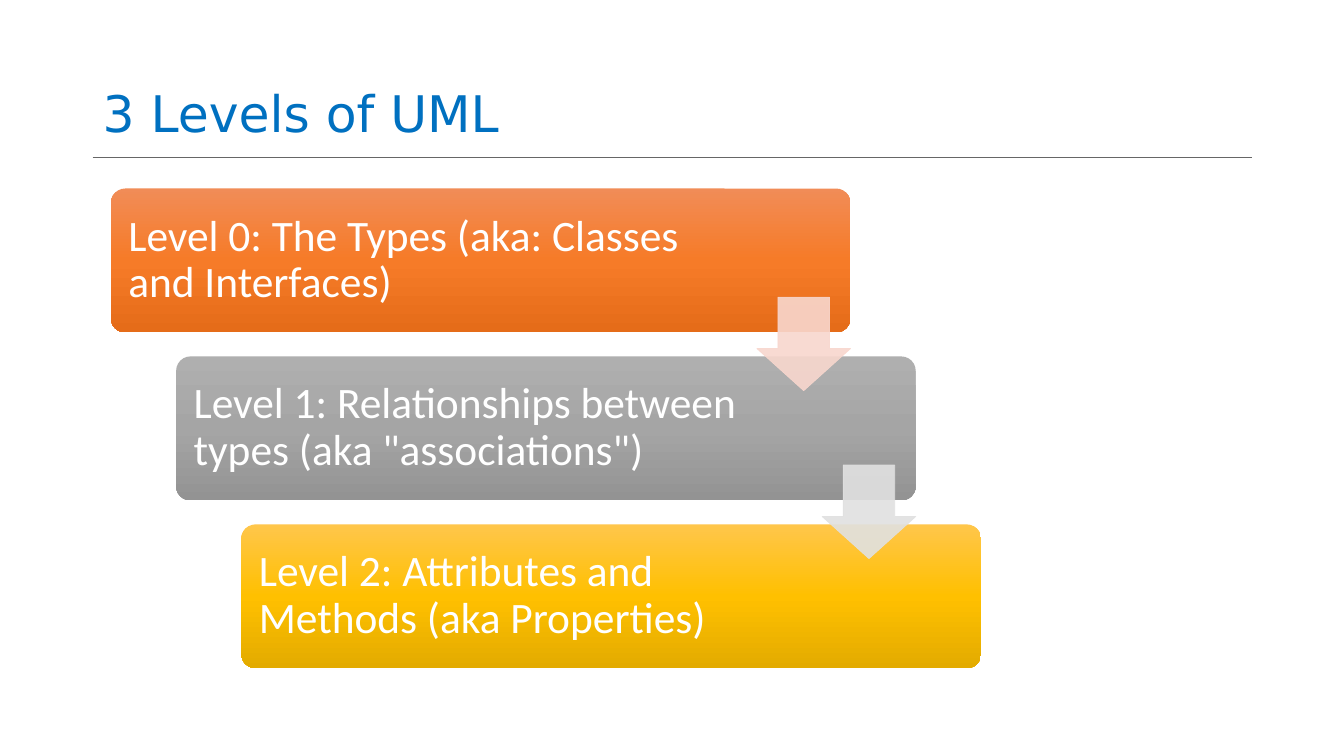
from copy import deepcopy
from dataclasses import dataclass
from lxml import etree
from pptx import Presentation
from pptx import util as u
from pptx.dml.color import RGBColor
from pptx.enum import shapes, text
from pptx.oxml import ns


@dataclass(frozen=True)
class Theme:
    title: str = "0070C0"
    rule: str = "666666"
    label: str = "FFFFFF"
    head: str = "DejaVu Sans"
    body: str = "Calibri"
    big: int = 36
    mid: int = 31
    bars: tuple = (
        ("F18C57", "F67B28", "E56C19"),
        ("AFAFAF", "A5A5A5", "939393"),
        ("FFC64B", "FFC000", "E3AB00"),
    )
    arrows: tuple = ("F8D7CE", "E1E1E1")


T = Theme()
WIDE, HIGH = 13.33, 7.5
LEVELS = (
    ("Level 0: The Types (aka: Classes and Interfaces)", 0.79),
    ("Level 1: Relationships between types (aka \"associations\")", 0.774),
    ("Level 2: Attributes and Methods (aka Properties)", 0.774),
)


def rgb(code):
    return RGBColor.from_string(code)


def inches(*box):
    return [u.Inches(n) for n in box]


def write(slide, box, words, font, size, color, anchor, pads):
    frame = slide.shapes.add_textbox(*inches(*box)).text_frame
    frame.word_wrap = True
    frame.vertical_anchor = anchor
    (frame.margin_left, frame.margin_top,
     frame.margin_right, frame.margin_bottom) = inches(*pads)
    para = frame.paragraphs[0]
    para.line_spacing = 0.9
    run = para.add_run()
    run.text = words
    run.font.name = font
    run.font.size = u.Pt(size)
    run.font.color.rgb = rgb(color)


def heading(slide, box):
    x, y, w, h = box
    rule = slide.shapes.add_connector(
        shapes.MSO_CONNECTOR.STRAIGHT,
        *inches(x, y + h + 0.09, x + w, y + h + 0.09))
    rule.line.color.rgb = rgb(T.rule)
    rule.line.width = u.Pt(0.5)
    etree.SubElement(rule._element.spPr, ns.qn("a:effectLst"))
    write(slide, box, "3 Levels of UML", T.head, T.big, T.title,
          text.MSO_ANCHOR.BOTTOM, (0.1, 0.05, 0.1, 0.05))


def shade(shape, colors):
    shape.fill.gradient()
    shape.fill.gradient_angle = 270
    stops = shape._element.spPr.find(".//" + ns.qn("a:gsLst"))
    stops.append(deepcopy(stops[0]))
    for i, (stop, color) in enumerate(zip(shape.fill.gradient_stops, colors)):
        stop.position = i / 2
        stop.color.rgb = rgb(color)


def bar(slide, box, level, colors):
    x, y, w, h = box
    words, share = level
    shape = slide.shapes.add_shape(
        shapes.MSO_SHAPE.ROUNDED_RECTANGLE, *inches(*box))
    shape.adjustments[0] = 0.1
    shape.shadow.inherit = False
    shape.line.fill.background()
    shade(shape, colors)
    gap = 0.03 * h
    write(slide, (x + gap, y + gap, share * w, h - 2 * gap), words,
          T.body, T.mid, T.label, text.MSO_ANCHOR.MIDDLE, (0.13,) * 4)


def arrow(slide, box, color):
    shape = slide.shapes.add_shape(shapes.MSO_SHAPE.DOWN_ARROW, *inches(*box))
    shape.adjustments[0] = 0.55
    shape.adjustments[1] = 0.45
    shape.shadow.inherit = False
    shape.fill.solid()
    shape.fill.fore_color.rgb = rgb(color)
    shape.line.color.rgb = rgb(color)
    shape.line.width = u.Pt(0.5)
    for tint in shape._element.spPr.iter(ns.qn("a:srgbClr")):
        etree.SubElement(tint, ns.qn("a:alpha")).set("val", "90000")


def stairs(slide, box):
    x, y, w, h = box
    wide, high = 0.85 * w, 0.3 * h
    steps = len(LEVELS) - 1
    spots = [(x + i * (w - wide) / steps, y + i * (h - high) / steps)
             for i in range(len(LEVELS))]
    for (left, top), level, colors in zip(spots, LEVELS, T.bars):
        bar(slide, (left, top, wide, high), level, colors)
    side = 0.65 * high
    for (left, top), color in zip(spots, T.arrows):
        arrow(slide, (left + wide - side, top + 0.755 * high, side, side),
              color)


def main():
    deck = Presentation()
    deck.slide_width, deck.slide_height = inches(WIDE, HIGH)
    slide = deck.slides.add_slide(deck.slide_layouts[6])
    heading(slide, (0.92, 0.02, 11.5, 1.45))
    stairs(slide, (1.1, 1.87, 8.63, 4.76))
    deck.save("out.pptx")


if __name__ == "__main__":
    main()
